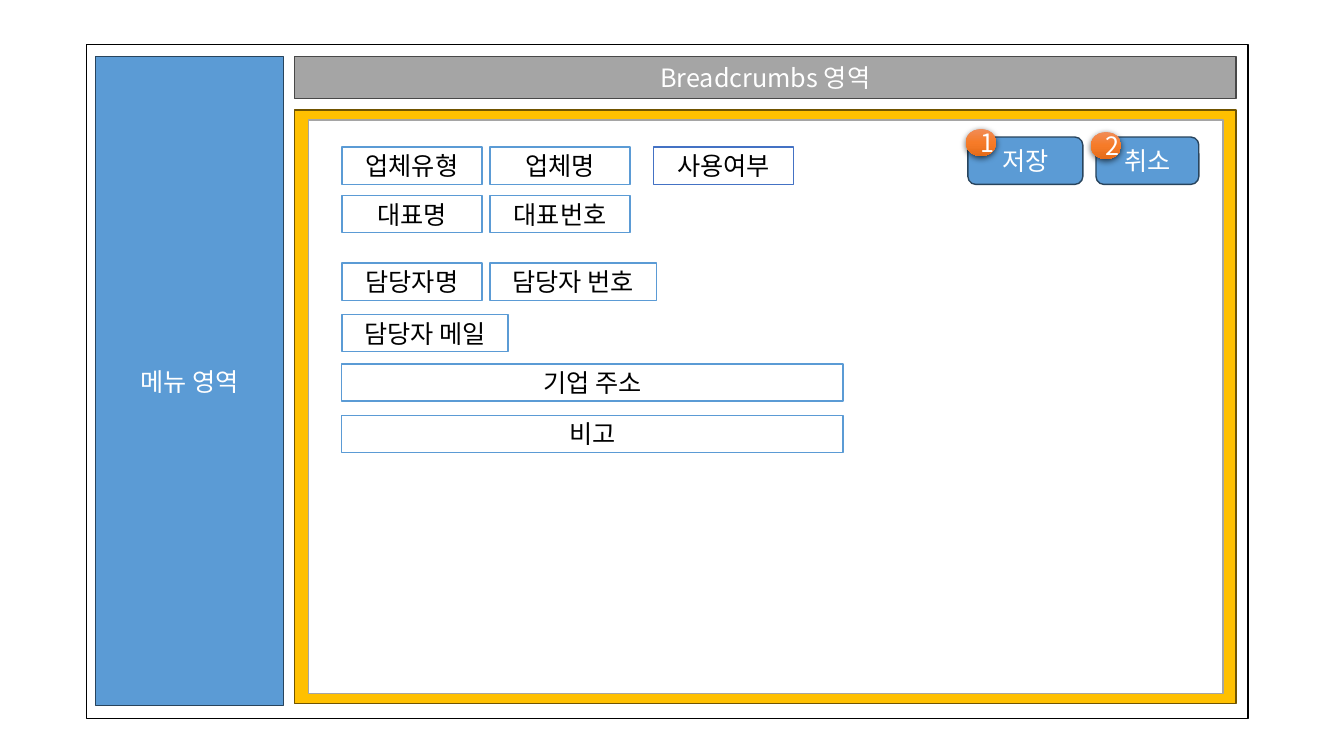
from lxml import etree
from pptx import Presentation
from pptx.dml.color import RGBColor
from pptx.enum.shapes import MSO_SHAPE as Shape
from pptx.enum.text import MSO_ANCHOR as Anchor, PP_ALIGN as Align
from pptx.oxml import parse_xml
from pptx.oxml.ns import nsdecls, qn
from pptx.util import Inches, Pt

FONT = "Noto Sans CJK KR"
WHITE, BLACK = "FFFFFF", "000000"
BLUE, NAVY, ROYAL = "5B9BD5", "28445D", "4472C4"
GRAY, DARK_GRAY = "A5A5A5", "484848"
GOLD, DARK_GOLD = "FFC000", "705400"
BADGE_STOPS = [(0, "F18C57"), (50, "F67B28"), (100, "E56C19")]


def color(hex_string):
    return RGBColor.from_string(hex_string)


def add_box(slide, box, fill, line, text="", text_color=WHITE, kind=Shape.RECTANGLE):
    shape = slide.shapes.add_shape(kind, *(Inches(length) for length in box))
    shape.shadow.inherit = False
    shape.fill.solid()
    shape.fill.fore_color.rgb = color(fill)
    shape.line.color.rgb = color(line)
    shape.line.width = Pt(1)
    if text:
        frame = shape.text_frame
        frame.text = text
        frame.vertical_anchor = Anchor.MIDDLE
        paragraph = frame.paragraphs[0]
        paragraph.alignment = Align.CENTER
        font = paragraph.runs[0].font
        font.name, font.size = FONT, Pt(18)
        font.color.rgb = color(text_color)
        # East Asian typeface for the Korean letters
        east_asian = etree.SubElement(paragraph.runs[0]._r.rPr, qn("a:ea"))
        east_asian.set("typeface", FONT)
    return shape


def add_badge(slide, left, top, number):
    badge = add_box(slide, (left, top, 0.3, 0.27), WHITE, WHITE, number, kind=Shape.OVAL)
    badge.line.fill.background()
    # Orange gradient from top to bottom
    badge.fill.gradient()
    badge.fill.gradient_angle = 270
    properties = badge._element.spPr
    stops = properties.find(".//" + qn("a:gsLst"))
    for stop in list(stops):
        stops.remove(stop)
    for position, hex_string in BADGE_STOPS:
        stop = etree.SubElement(stops, qn("a:gs"), pos=str(position * 1000))
        etree.SubElement(stop, qn("a:srgbClr"), val=hex_string)
    # Soft shadow below
    properties.find(qn("a:effectLst")).append(parse_xml(
        f'<a:outerShdw {nsdecls("a")} blurRad="{Pt(4.5)}" dist="{Pt(1.5)}" '
        'dir="5400000" algn="ctr" rotWithShape="0">'
        '<a:srgbClr val="000000"><a:alpha val="63000"/></a:srgbClr></a:outerShdw>'))


def add_form(slide, left, top):
    height, gap = 0.37, 0.08
    narrow, medium, wide = 1.39, 1.65, 4.97
    rows = [
        (0, [("업체유형", narrow), ("업체명", narrow)]),
        (0.48, [("대표명", narrow), ("대표번호", narrow)]),
        (1.15, [("담당자명", narrow), ("담당자 번호", medium)]),
        (1.66, [("담당자 메일", medium)]),
        (2.15, [("기업 주소", wide)]),
        (2.66, [("비고", wide)]),
    ]
    for offset, fields in rows:
        x = left
        for label, width in fields:
            add_box(slide, (x, top + offset, width, height), WHITE, BLUE, label, BLACK)
            x += width + gap
    # Usage field stands apart on the first row
    add_box(slide, (left + 3.09, top, narrow, height), WHITE, ROYAL, "사용여부", BLACK)


def add_buttons(slide, left, top):
    buttons = [("저장", 0, 1.14), ("취소", 1.27, 1.02)]
    for label, offset, width in buttons:
        add_box(slide, (left + offset, top, width, 0.47), BLUE, NAVY, label,
                kind=Shape.ROUNDED_RECTANGLE)
    add_badge(slide, left - 0.02, top - 0.08, "1")
    add_badge(slide, left + 1.22, top - 0.05, "2")


def add_content(slide, left, top, width, height):
    add_box(slide, (left, top, width, height), GOLD, DARK_GOLD)
    add_box(slide, (left + 0.14, top + 0.1, width - 0.27, height - 0.2), WHITE, GRAY)
    add_form(slide, left + 0.47, top + 0.37)
    add_buttons(slide, left + 6.68, top + 0.27)


def add_screen(slide, left, top, width, height):
    add_box(slide, (left, top, width, height), WHITE, BLACK)
    # Menu, breadcrumbs and content areas
    add_box(slide, (left + 0.09, top + 0.12, 1.86, 6.44), BLUE, NAVY, "메뉴 영역")
    add_box(slide, (left + 2.06, top + 0.12, 9.34, 0.42), GRAY, DARK_GRAY,
            "Breadcrumbs 영역")
    add_content(slide, left + 2.06, top + 0.65, 9.34, 5.89)


def main():
    presentation = Presentation()
    presentation.slide_width = Inches(13.33)
    presentation.slide_height = Inches(7.5)
    slide = presentation.slides.add_slide(presentation.slide_layouts[6])
    add_screen(slide, 0.86, 0.44, 11.52, 6.69)
    presentation.save("out.pptx")


if __name__ == "__main__":
    main()
